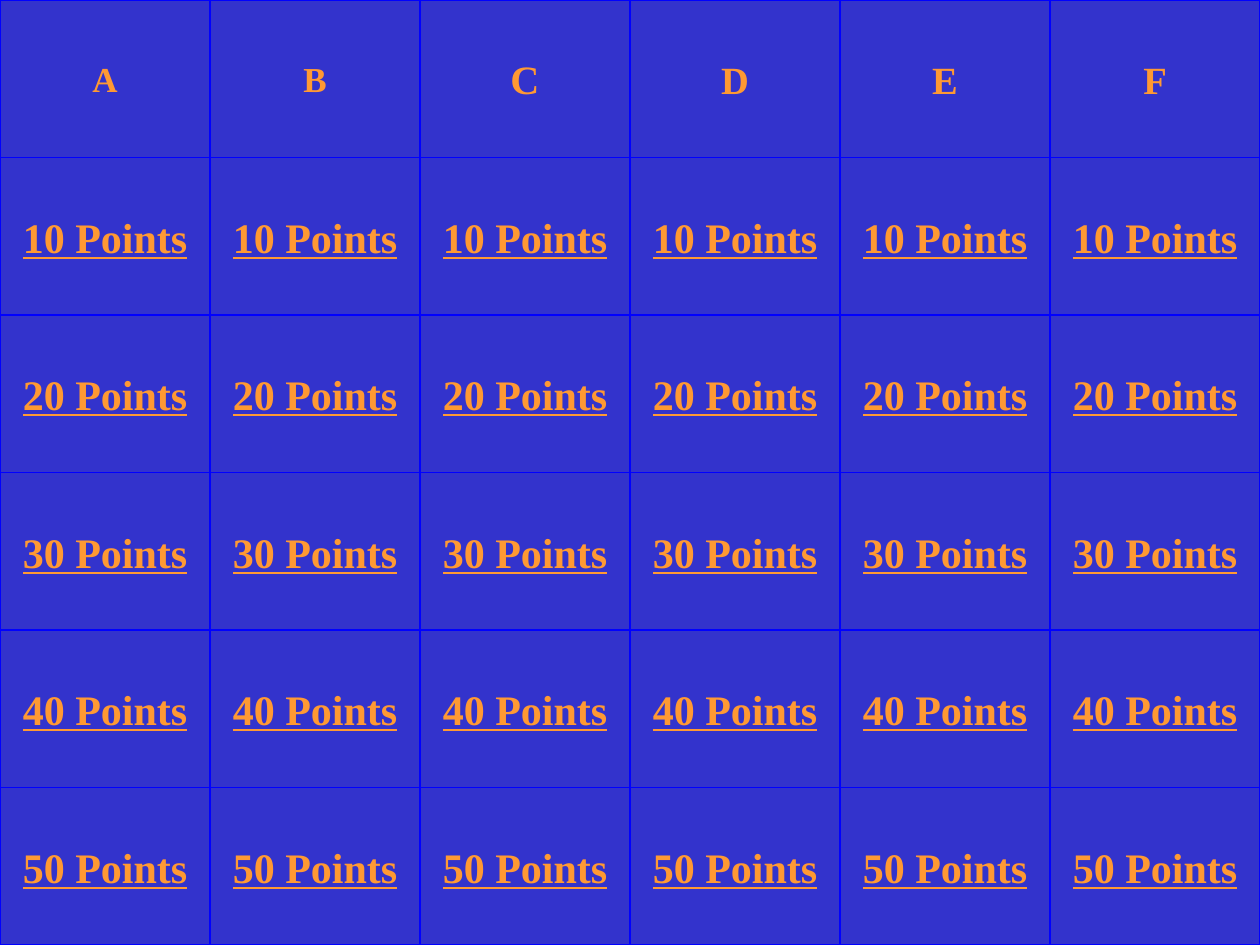
from dataclasses import dataclass

from pptx import Presentation
from pptx.dml.color import RGBColor
from pptx.enum.shapes import MSO_SHAPE
from pptx.enum.text import MSO_ANCHOR, PP_ALIGN
from pptx.util import Inches, Pt


@dataclass(frozen=True)
class Theme:
    board: RGBColor = RGBColor(0x33, 0x33, 0xCC)
    border: RGBColor = RGBColor(0x00, 0x00, 0xFF)
    text: RGBColor = RGBColor(0xFF, 0x99, 0x33)
    font: str = "Times New Roman"
    border_width: float = 0.75
    points_size: int = 24


THEME = Theme()
SLIDE_WIDTH, SLIDE_HEIGHT = 10, 7.5

# Category letters with their type sizes, and the value of each row
CATEGORIES = [("A", 20), ("B", 20), ("C", 23), ("D", 22), ("E", 22), ("F", 22)]
POINTS = [10, 20, 30, 40, 50]
CELL_WIDTH = SLIDE_WIDTH / len(CATEGORIES)
CELL_HEIGHT = SLIDE_HEIGHT / (len(POINTS) + 1)


def set_background(page):
    fill = page.background.fill
    fill.solid()
    fill.fore_color.rgb = THEME.board


def add_button(page, column, row, text, size, underline=False):
    """Add one board button at a grid position."""
    button = page.shapes.add_shape(
        MSO_SHAPE.ACTION_BUTTON_CUSTOM,
        Inches(column * CELL_WIDTH), Inches(row * CELL_HEIGHT),
        Inches(CELL_WIDTH), Inches(CELL_HEIGHT),
    )
    button.shadow.inherit = False
    button.fill.solid()
    button.fill.fore_color.rgb = THEME.board
    button.line.color.rgb = THEME.border
    button.line.width = Pt(THEME.border_width)

    # Centred label
    frame = button.text_frame
    frame.word_wrap = False
    frame.vertical_anchor = MSO_ANCHOR.MIDDLE
    para = frame.paragraphs[0]
    para.text = text
    para.alignment = PP_ALIGN.CENTER
    font = para.font
    font.name = THEME.font
    font.size = Pt(size)
    font.bold = True
    font.underline = underline
    font.color.rgb = THEME.text


def main():
    deck = Presentation()
    deck.slide_width = Inches(SLIDE_WIDTH)
    deck.slide_height = Inches(SLIDE_HEIGHT)
    page = deck.slides.add_slide(deck.slide_layouts[6])
    set_background(page)

    # Category headings
    for column, (letter, size) in enumerate(CATEGORIES):
        add_button(page, column, 0, letter, size)

    # Point buttons below each heading
    for row, points in enumerate(POINTS, start=1):
        for column in range(len(CATEGORIES)):
            add_button(page, column, row, f"{points} Points",
                       THEME.points_size, underline=True)

    deck.save("out.pptx")


if __name__ == "__main__":
    main()
